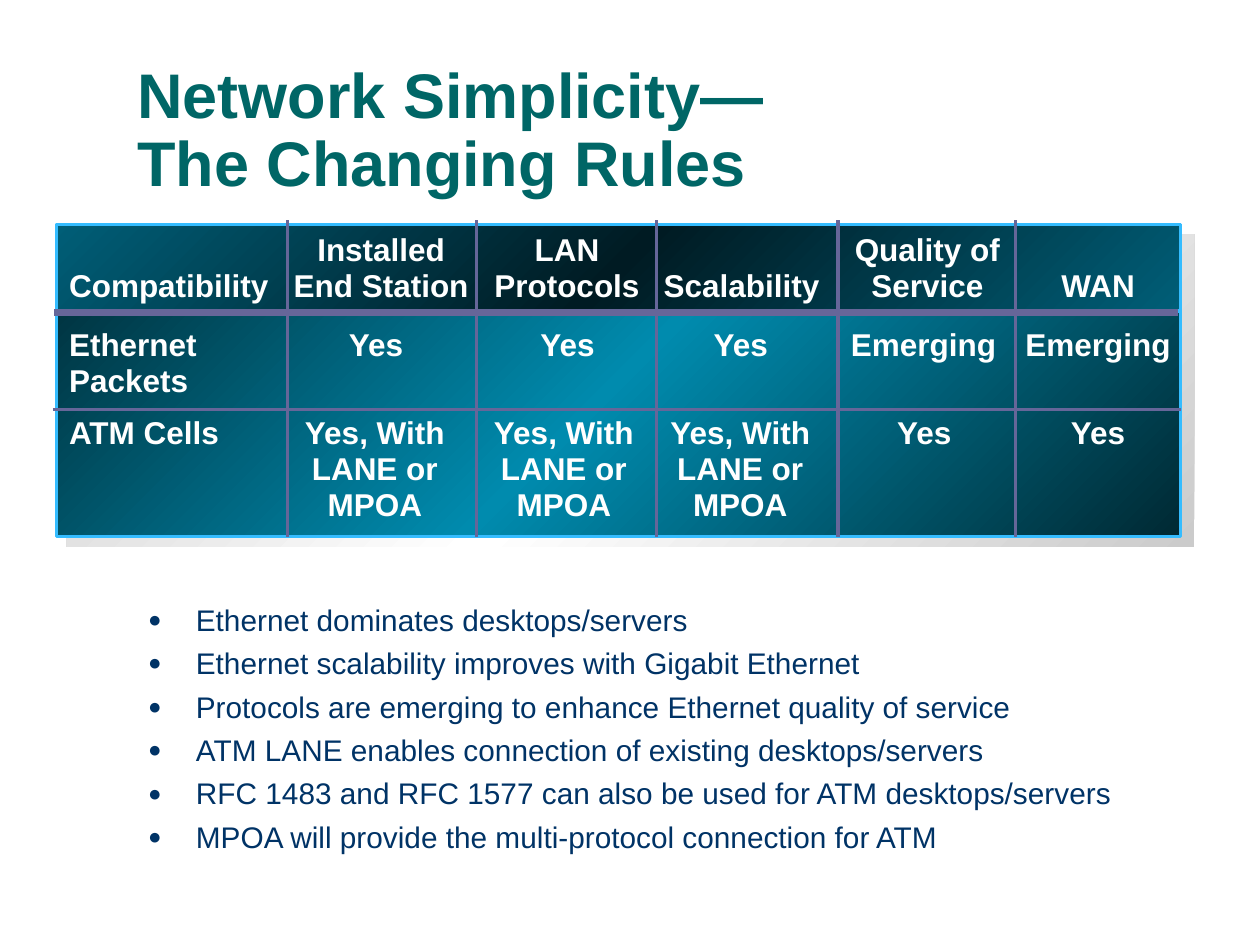
from collections import namedtuple
from copy import deepcopy

from lxml.etree import SubElement
from pptx import Presentation
from pptx.dml.color import RGBColor
from pptx.enum.shapes import MSO_CONNECTOR, MSO_SHAPE
from pptx.enum.text import MSO_ANCHOR, MSO_AUTO_SIZE, PP_ALIGN
from pptx.oxml.ns import qn
from pptx.util import Inches, Pt

FONT = "Arial"
WHITE = RGBColor(0xFF, 0xFF, 0xFF)
TEAL = RGBColor(0x00, 0x66, 0x66)
NAVY = RGBColor(0x00, 0x33, 0x66)
RULE = RGBColor(0x66, 0x66, 0x99)
EDGE = RGBColor(0x34, 0xBC, 0xFF)
SHADOW_BLEND = (RGBColor(0xCB, 0xCB, 0xCB), WHITE)
PANEL_BLEND = (RGBColor(0x00, 0x29, 0x33), RGBColor(0x00, 0x8B, 0xAE))
HEADER_BLEND = (RGBColor(0x00, 0x5E, 0x77), RGBColor(0x00, 0x1B, 0x23))

Box = namedtuple("Box", "left top width height")  # inches

LINE_HEIGHT = 0.285
CELL_PADDING = 0.1
HEADER_HEIGHT = 0.69
COLUMN_RULES = (1.83, 3.33, 4.76, 6.2, 7.61)  # from the left of the matrix

# Each cell: text, left offset, width, number of lines
HEADER_CELLS = (
    ("Compatibility", 0, 1.79, 1),
    ("Installed End Station", 1.73, 1.69, 2),
    ("LAN Protocols", 3.29, 1.52, 2),
    ("Scalability", 4.53, 1.81, 1),
    ("Quality of Service", 6.12, 1.58, 2),
    ("WAN", 7.69, 1.15, 1),
)
ETHERNET_CELLS = (
    ("Ethernet Packets", 0, 1.5, 2),
    ("Yes", 1.87, 1.33, 1),
    ("Yes", 3.34, 1.43, 1),
    ("Yes", 4.76, 1.34, 1),
    ("Emerging", 6.04, 1.68, 1),
    ("Emerging", 7.45, 1.63, 1),
)
ATM_CELLS = (
    ("ATM Cells", 0, 1.69, 1),
    ("Yes, With LANE or MPOA", 1.79, 1.47, 3),
    ("Yes, With LANE or MPOA", 3.29, 1.47, 3),
    ("Yes, With LANE or MPOA", 4.69, 1.47, 3),
    ("Yes", 6.29, 1.19, 1),
    ("Yes", 7.57, 1.39, 1),
)
POINTS = (
    "Ethernet dominates desktops/servers",
    "Ethernet scalability improves with Gigabit Ethernet",
    "Protocols are emerging to enhance Ethernet quality of service",
    "ATM LANE enables connection of existing desktops/servers",
    "RFC 1483 and RFC 1577 can also be used for ATM desktops/servers",
    "MPOA will provide the multi-protocol connection for ATM",
)


def emu(box):
    return [Inches(length) for length in box]


def write(para, text, size, color, bold=False, align=PP_ALIGN.LEFT,
          spacing=0.9, before=0):
    para.text = text
    para.alignment = align
    para.line_spacing = spacing
    para.space_before = Pt(before)
    for span in para.runs:
        span.font.name = FONT
        span.font.size = Pt(size)
        span.font.bold = bold
        span.font.color.rgb = color


def set_frame(frame, side, edge, anchor=MSO_ANCHOR.TOP):
    frame.word_wrap = True
    frame.auto_size = MSO_AUTO_SIZE.NONE
    frame.vertical_anchor = anchor
    frame.margin_left = frame.margin_right = Inches(side)
    frame.margin_top = frame.margin_bottom = Inches(edge)


def place(holder, box):
    holder.left, holder.top, holder.width, holder.height = emu(box)
    set_frame(holder.text_frame, 0.09, 0.04, MSO_ANCHOR.MIDDLE)
    return holder.text_frame


def add_bullet(para, color):
    properties = para._p.get_or_add_pPr()
    properties.set("marL", str(Inches(0.38)))
    properties.set("indent", str(-Inches(0.38)))
    bullet_color = SubElement(properties, qn("a:buClr"))
    SubElement(bullet_color, qn("a:srgbClr"), val=str(color))
    SubElement(properties, qn("a:buSzPct"), val="75000")
    SubElement(properties, qn("a:buFont"), typeface=FONT)
    SubElement(properties, qn("a:buChar"), char="●")


def add_panel(page, box, blend, edge=None):
    """Rectangle blended diagonally from outer to inner colour and back."""
    panel = page.shapes.add_shape(MSO_SHAPE.RECTANGLE, *emu(box))
    panel.shadow.inherit = False
    panel.fill.gradient()
    panel.fill.gradient_angle = 135
    stop_list = panel._element.spPr.find(".//" + qn("a:gsLst"))
    stop_list.insert(1, deepcopy(stop_list[0]))
    outer, inner = blend
    for stop, position, color in zip(panel.fill.gradient_stops,
                                     (0, 0.5, 1), (outer, inner, outer)):
        stop.position = position
        stop.color.rgb = color
    if edge is None:
        panel.line.fill.background()
    else:
        panel.line.color.rgb = edge
        panel.line.width = Pt(2)


def add_rule(page, x1, y1, x2, y2, weight=2):
    rule = page.shapes.add_connector(
        MSO_CONNECTOR.STRAIGHT, *emu((x1, y1, x2, y2)))
    rule.line.color.rgb = RULE
    rule.line.width = Pt(weight)
    SubElement(rule._element.spPr, qn("a:effectLst"))


def add_cells(page, cells, left, top=None, bottom=None):
    """Row of labels hung from top, or standing on bottom when it is given."""
    for column, (text, offset, width, lines) in enumerate(cells):
        height = 2 * CELL_PADDING / 2 + lines * LINE_HEIGHT
        cell_top = top if bottom is None else bottom - height
        cell = page.shapes.add_textbox(
            *emu((left + offset, cell_top, width, height)))
        set_frame(cell.text_frame, CELL_PADDING, CELL_PADDING / 2)
        write(cell.text_frame.paragraphs[0], text, 18, WHITE, bold=True,
              align=PP_ALIGN.CENTER if column else PP_ALIGN.LEFT, spacing=0.95)


def build_title(page, box):
    frame = place(page.shapes.title, box)
    write(frame.paragraphs[0], "Network Simplicity—\vThe Changing Rules",
          36, TEAL, bold=True)


def build_matrix(page, box):
    left, top, width, height = box
    header_bottom = top + HEADER_HEIGHT
    # Shadow, body and header panels
    add_panel(page, Box(left + 0.08, top + 0.08, width + 0.03, height),
              SHADOW_BLEND)
    add_panel(page, box, PANEL_BLEND, EDGE)
    add_panel(page, box._replace(height=HEADER_HEIGHT), HEADER_BLEND, EDGE)
    # Labels
    add_cells(page, HEADER_CELLS, left, bottom=header_bottom)
    add_cells(page, ETHERNET_CELLS, left, top=top + 0.77)
    add_cells(page, ATM_CELLS, left, top=top + 1.47)
    # Column and row rules
    for offset in COLUMN_RULES:
        add_rule(page, left + offset, top + height, left + offset, top - 0.03)
    add_rule(page, left - 0.02, top + 0.7, left + width - 0.02, top + 0.7, 4)
    add_rule(page, left - 0.03, top + 1.47, left + width, top + 1.47)


def build_points(page, box):
    frame = place(page.placeholders[1], box)
    frame._txBody.bodyPr.set("anchorCtr", "1")  # centre the list as a block
    for index, point in enumerate(POINTS):
        para = frame.add_paragraph() if index else frame.paragraphs[0]
        add_bullet(para, NAVY)
        write(para, point, 17, NAVY, before=6.4 if index else 0)


def main():
    deck = Presentation()
    deck.slide_width, deck.slide_height = Inches(10), Inches(7.5)
    page = deck.slides.add_slide(deck.slide_layouts[1])
    build_points(page, Box(0, 4.32, 10, 2.95))
    build_matrix(page, Box(0.45, 1.78, 8.92, 2.48))
    build_title(page, Box(1, 0.42, 8.75, 1.25))
    deck.save("out.pptx")


if __name__ == "__main__":
    main()
